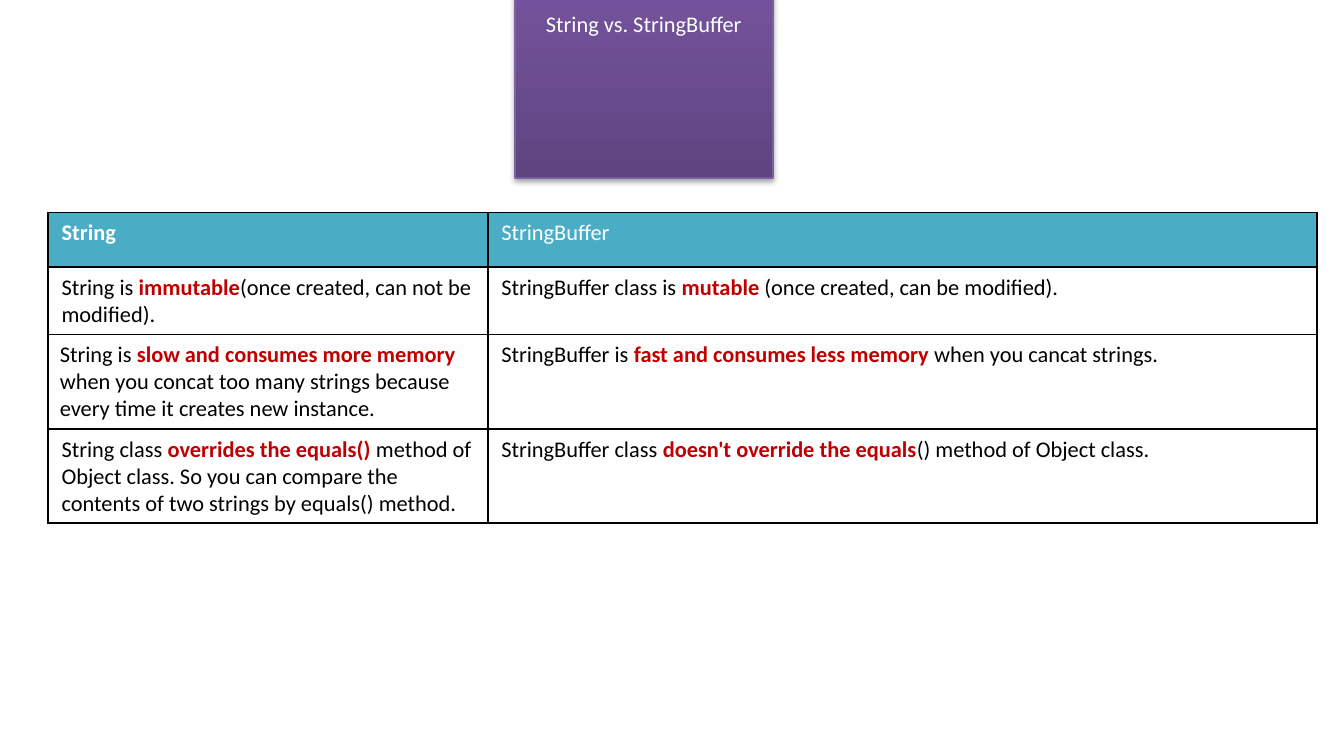
from dataclasses import dataclass

import lxml.etree
import pptx
import pptx.dml.color
import pptx.enum.text
import pptx.oxml
import pptx.oxml.ns
import pptx.util

Cm, Pt = pptx.util.Cm, pptx.util.Pt
RGB = pptx.dml.color.RGBColor.from_string


@dataclass(frozen=True)
class Theme:
    font: str = "Calibri"
    size: int = 12
    text: str = "000000"
    inverse: str = "FFFFFF"
    accent: str = "C00000"
    header: str = "4BACC6"
    border: str = "000000"
    border_width: float = 1
    heading_dark: str = "5F4480"
    heading_light: str = "7B58A6"
    heading_line: str = "7D60A0"


theme = Theme()
NAMESPACE = pptx.oxml.ns.nsdecls("a")


def style(paragraph, color, bold=False):
    paragraph.font.name = theme.font
    paragraph.font.size = Pt(theme.size)
    paragraph.font.bold = bold
    paragraph.font.color.rgb = RGB(color)


def add_borders(cell):
    for side in ("lnL", "lnR", "lnT", "lnB"):
        cell._tc.get_or_add_tcPr().append(pptx.oxml.parse_xml(
            f'<a:{side} {NAMESPACE} w="{Pt(theme.border_width)}"><a:solidFill>'
            f'<a:srgbClr val="{theme.border}"/></a:solidFill></a:{side}>'))


presentation = pptx.Presentation()
presentation.slide_width, presentation.slide_height = Cm(25.4), Cm(13.97)
slide = presentation.slides.add_slide(presentation.slide_layouts[5])

# Heading
heading = slide.shapes.title
heading.left, heading.top = Cm(9.73), Cm(0.06)
heading.width, heading.height = Cm(4.88), Cm(0.77)
heading.fill.gradient()
heading.fill.gradient_angle = 90
stops = heading.fill.gradient_stops
for stop, position, color in zip(stops, (0, 0.8), (theme.heading_dark, theme.heading_light)):
    stop.position = position
    stop.color.rgb = RGB(color)
heading.line.color.rgb = RGB(theme.heading_line)
heading.line.width = Pt(0.75)
heading._element.spPr.append(pptx.oxml.parse_xml(
    f'<a:effectLst {NAMESPACE}><a:outerShdw blurRad="{Pt(3.1)}" dist="{Pt(1.8)}" '
    'dir="5400000" rotWithShape="0"><a:srgbClr val="000000"><a:alpha val="35000"/>'
    '</a:srgbClr></a:outerShdw></a:effectLst>'))
heading.text_frame.text = "String vs. StringBuffer"
heading.text_frame.auto_size = pptx.enum.text.MSO_AUTO_SIZE.SHAPE_TO_FIT_TEXT
heading.text_frame.paragraphs[0].alignment = pptx.enum.text.PP_ALIGN.CENTER
style(heading.text_frame.paragraphs[0], theme.inverse)

# Comparison: each cell is a list of paragraphs, in which * encloses the key words
comparison = [
    (["String"], ["StringBuffer"]),
    (["String is *immutable*(once created, can not be modified)."],
     ["StringBuffer class is *mutable *(once created, can be modified)."]),
    (["String is *slow and consumes more memory*",
      "when you concat too many strings because",
      "every time it creates new instance."],
     ["StringBuffer is *fast and consumes less memory *when you cancat strings."]),
    (["String class *overrides the equals() *method of Object class. "
      "So you can compare the contents of two strings by equals() method."],
     ["StringBuffer class *doesn't override the equals*() method of Object class."]),
]
column_widths = (8.31, 15.67)
row_heights = (1.03, 1.27, 1.79, 1.78)

table = slide.shapes.add_table(
    len(row_heights), len(column_widths), Cm(0.91), Cm(4.02),
    Cm(sum(column_widths)), Cm(sum(row_heights))).table
for column, width in zip(table.columns, column_widths):
    column.width = Cm(width)
for row, height in zip(table.rows, row_heights):
    row.height = Cm(height)

for row_index, entries in enumerate(comparison):
    is_header = row_index == 0
    for column_index, lines in enumerate(entries):
        cell = table.cell(row_index, column_index)
        add_borders(cell)
        cell.fill.solid()
        cell.fill.fore_color.rgb = RGB(theme.header if is_header else theme.inverse)
        for line_index, line in enumerate(lines):
            frame = cell.text_frame
            paragraph = frame.add_paragraph() if line_index else frame.paragraphs[0]
            style(paragraph, theme.inverse if is_header else theme.text,
                  bold=is_header and column_index == 0)
            for part_index, part in enumerate(line.split("*")):
                run = paragraph.add_run()
                run.text = part
                if part_index % 2:
                    run.font.bold = True
                    run.font.color.rgb = RGB(theme.accent)

slow_cell = table.cell(2, 0)
slow_cell.margin_left = Cm(0.22)
slow_cell.margin_right = Cm(0.13)

presentation.save("out.pptx")
